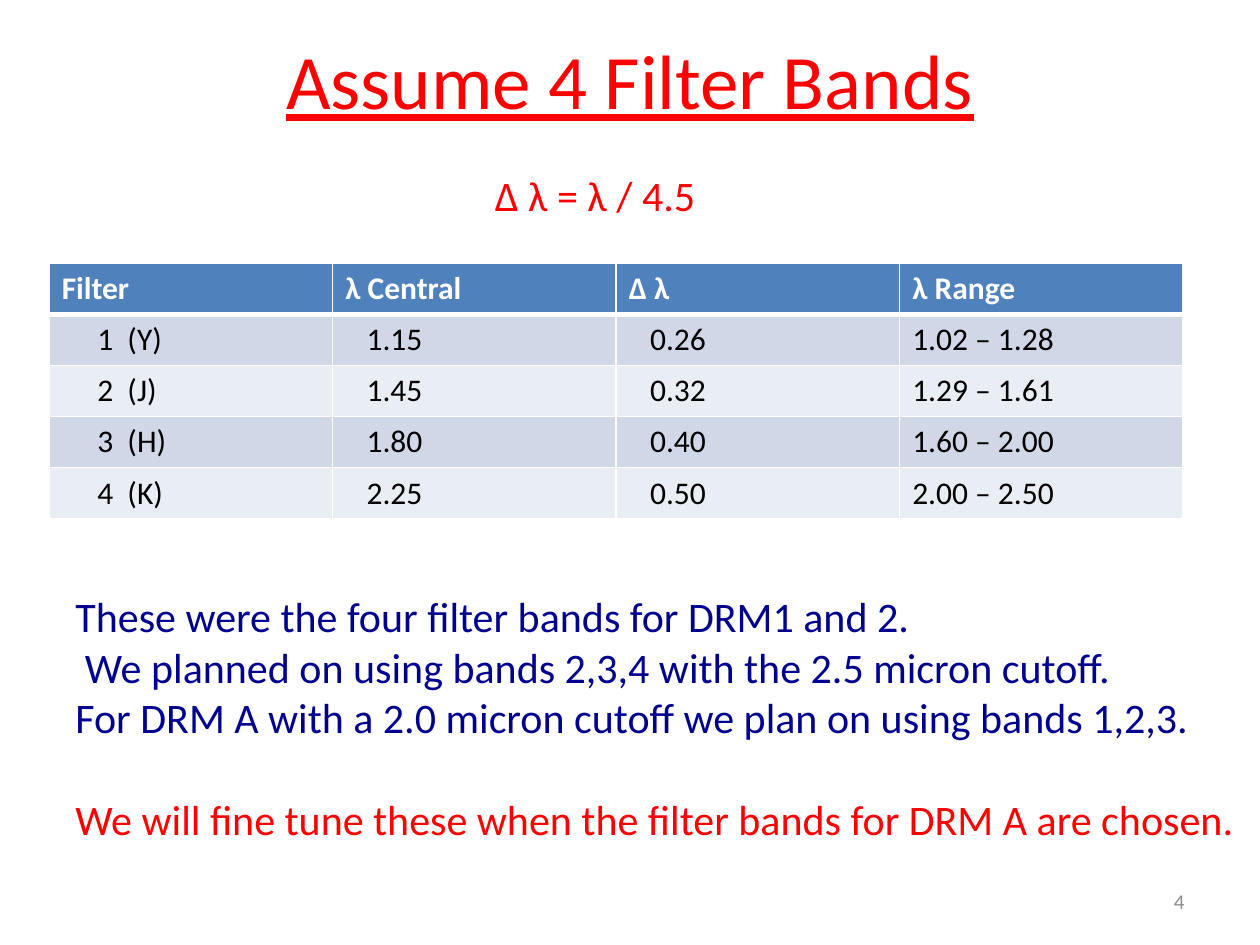
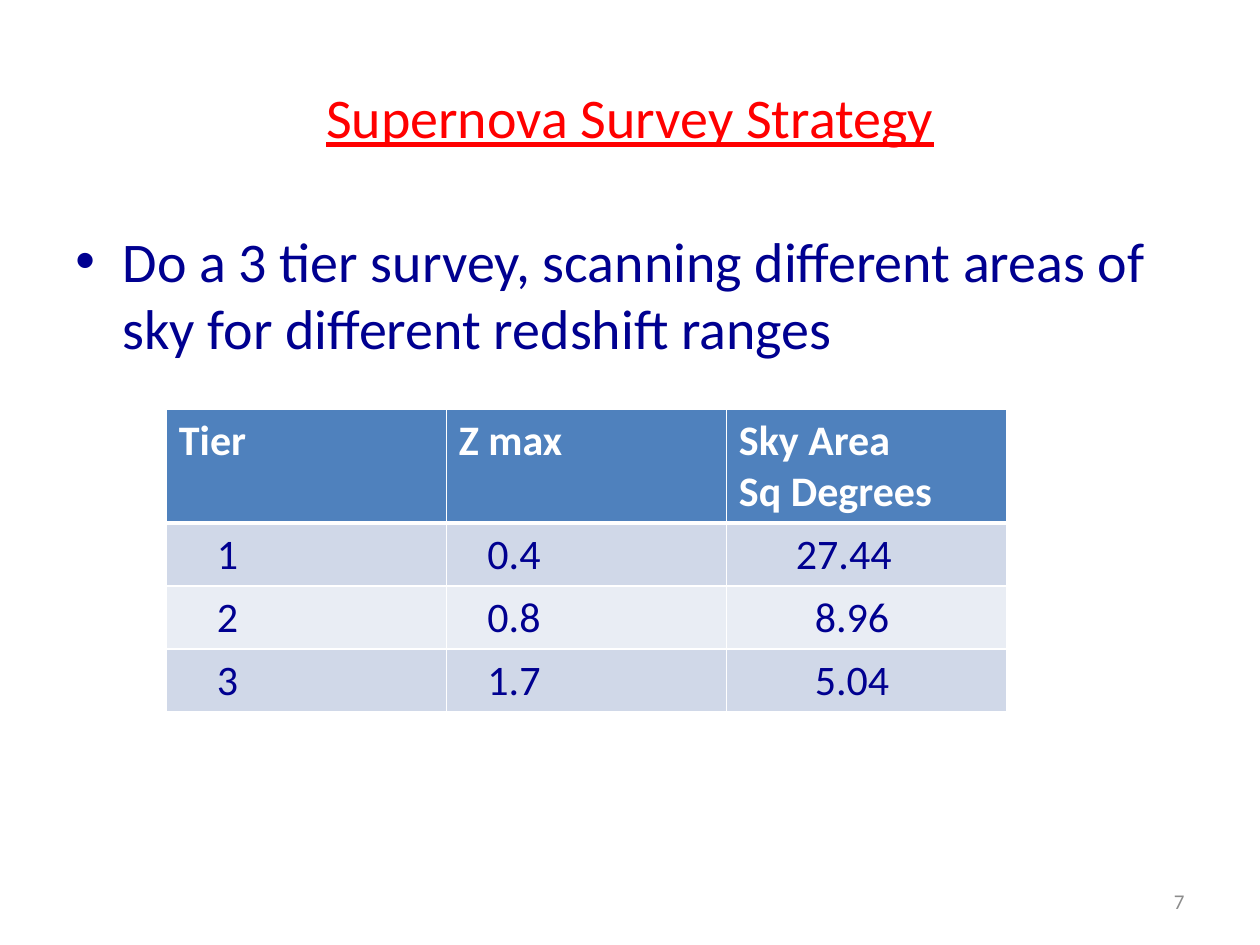
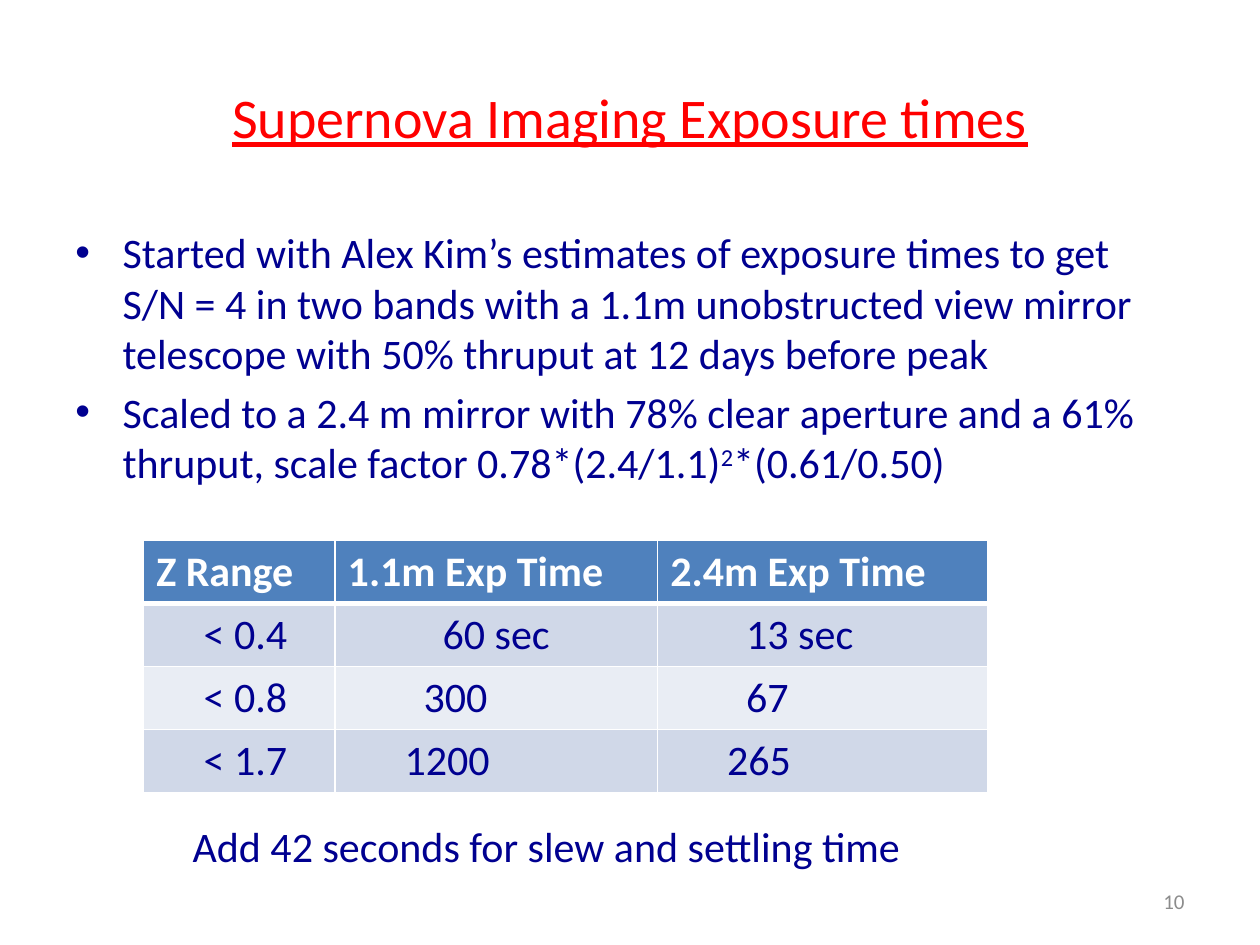
from lxml.etree import SubElement
from pptx import Presentation
from pptx.dml.color import RGBColor
from pptx.enum.text import MSO_ANCHOR as Anchor, MSO_AUTO_SIZE as AutoSize, PP_ALIGN as Align
from pptx.oxml.ns import qn
from pptx.util import Inches, Pt

COLORS = {
    "red": "FF0000", "navy": "000090", "black": "000000", "white": "FFFFFF",
    "gray": "8C8C8C", "header": "4F81BD", "odd": "D0D8E8", "even": "E9EDF4",
}
FONT = "Calibri"
SLIDE_WIDTH, SLIDE_HEIGHT = Inches(10), Inches(7.5)
GRID_COLUMNS, GRID_ROWS = 40, 30
SPACE_SHARE = 0.226
LINE_SHARE = 1.22
CELL_MARGIN = Inches(0.1)
BULLET_INDENT = Inches(0.375)

NUMBER_BOX = (28.68, 27.8, 9.32, 1.6)
BODY_BOX = (2, 7, 36, 19.8)
LOW_TITLE = (2, 1.2, 36, 5)

SLIDES = [
    {
        "number": 4,
        "title": ("Assume 4 Filter Bands", (2, 0, 36, 5), 44),
        "notes": [
            {"box": (15.32, 5.2, 7.24, 2), "lines": [("Δ λ = λ / 4.5", "red", 0)]},
            {"box": (2, 18.56, 38.04, 8.48), "lines": [
                ("These were the four filter bands for DRM1 and 2.", "navy", 0),
                (" We planned on using bands 2,3,4 with the 2.5 micron cutoff.", "navy", 0),
                ("For DRM A with a 2.0 micron cutoff we plan on using bands 1,2,3.", "navy", 0),
                ("We will fine tune these when the filter bands for DRM A are chosen.", "red", 1),
            ]},
        ],
        "table": {
            "at": (1.56, 8.36), "columns": [9] * 4, "rows": [1.62] * 5,
            "size": 18, "color": "black",
            "header": ("Filter", "λ Central", "Δ λ", "λ Range"),
            "cells": [
                ("1  (Y)", "1.15", "0.26", "1.02 – 1.28"),
                ("2  (J)", "1.45", "0.32", "1.29 – 1.61"),
                ("3  (H)", "1.80", "0.40", "1.60 – 2.00"),
                ("4  (K)", "2.25", "0.50", "2.00 – 2.50"),
            ],
            "indents": [(5, 3, 3, 0)] * 4,
        },
    },
    {
        "number": 7,
        "title": ("Supernova Survey Strategy", LOW_TITLE, 32),
        "bullets": (32, [
            [("Do a 3 tier survey, scanning different areas of sky "
              "for different redshift ranges", False)],
        ]),
        "table": {
            "at": (5.28, 13), "columns": [8.89] * 3, "rows": [3.6, 2, 2, 2],
            "size": 24, "color": "navy",
            "header": ("Tier", "Z max", "Sky Area\vSq Degrees"),
            "cells": [("1", "0.4", "27.44"), ("2", "0.8", "8.96"), ("3", "1.7", "5.04")],
            "indents": [(4, 3, 6), (4, 3, 8), (4, 3, 8)],
        },
    },
    {
        "number": 10,
        "title": ("Supernova Imaging Exposure times", LOW_TITLE, 32),
        "bullets": (24, [
            [("Started with Alex Kim’s estimates of exposure times to get\v"
              "S/N = 4 in two bands with a 1.1m unobstructed view mirror "
              "telescope with 50% thruput at 12 days before peak", False)],
            [("Scaled to a 2.4 m mirror with 78% clear aperture and a 61% thruput, "
              "scale factor 0.78*(2.4/1.1)", False), ("2", True), ("*(0.61/0.50)", False)],
        ]),
        "table": {
            "at": (4.56, 17.16), "columns": [6.08, 10.24, 10.48], "rows": [2] * 4,
            "size": 24, "color": "navy",
            "header": ("Z Range", "1.1m Exp Time", "2.4m Exp Time"),
            "cells": [("< 0.4", "60 sec", "13 sec"), ("< 0.8", "300", "67"),
                      ("< 1.7", "1200", "265")],
            "indents": [(5, 10, 8), (5, 8, 8), (5, 6, 6)],
        },
        "notes": [
            {"box": (5.72, 25.84, 23.52, 2),
             "lines": [("Add 42 seconds for slew and settling time", "navy", 0)]},
        ],
    },
]


def across(columns):
    return round(SLIDE_WIDTH * columns / GRID_COLUMNS)


def down(rows):
    return round(SLIDE_HEIGHT * rows / GRID_ROWS)


def rgb(name):
    return RGBColor.from_string(COLORS[name])


def format_runs(paragraph, size, color, bold=False, underline=None):
    for run in paragraph.runs:
        font = run.font
        font.name, font.size, font.bold, font.underline = FONT, Pt(size), bold, underline
        font.color.rgb = rgb(color)


def add_box(slide, box, anchor=Anchor.TOP, wrap=True):
    left, top, width, height = box
    shape = slide.shapes.add_textbox(across(left), down(top), across(width), down(height))
    text_frame = shape.text_frame
    text_frame.word_wrap = wrap
    text_frame.auto_size = AutoSize.NONE if wrap else AutoSize.SHAPE_TO_FIT_TEXT
    text_frame.vertical_anchor = anchor
    return text_frame


def add_paragraphs(text_frame, items):
    for index, item in enumerate(items):
        yield (text_frame.add_paragraph() if index else text_frame.paragraphs[0]), item


def add_label(slide, text, box, size, color, align, underline=None):
    text_frame = add_box(slide, box, Anchor.MIDDLE)
    text_frame.text = text
    paragraph = text_frame.paragraphs[0]
    paragraph.alignment = align
    format_runs(paragraph, size, color, underline=underline)


def add_note(slide, box, lines, size=24):
    text_frame = add_box(slide, box, wrap=False)
    for paragraph, (text, color, skipped) in add_paragraphs(text_frame, lines):
        paragraph.text = text
        paragraph.space_before = Pt(skipped * size * LINE_SHARE)
        format_runs(paragraph, size, color)


def add_bullets(slide, size, bullets):
    text_frame = add_box(slide, BODY_BOX)
    for paragraph, parts in add_paragraphs(text_frame, bullets):
        paragraph.space_before = Pt(size * 0.2)
        properties = paragraph._p.get_or_add_pPr()
        properties.set("marL", str(BULLET_INDENT))
        properties.set("indent", str(-BULLET_INDENT))
        SubElement(properties, qn("a:buFont"), typeface="Arial")
        SubElement(properties, qn("a:buChar"), char="•")
        for text, raised in parts:
            for index, line in enumerate(text.split("\v")):
                if index:
                    paragraph.add_line_break()
                run = paragraph.add_run()
                run.text = line
                if raised:
                    run.font._element.set("baseline", "30000")
        format_runs(paragraph, size, "navy")


def add_borders(cell, row):
    properties = cell._tc.get_or_add_tcPr()
    widths = {"L": 1, "R": 1, "T": 3 if row == 1 else 1, "B": 3 if row == 0 else 1}
    for side, width in widths.items():
        line = SubElement(properties, qn("a:ln" + side), w=str(Pt(width)))
        fill = SubElement(line, qn("a:solidFill"))
        SubElement(fill, qn("a:srgbClr"), val=COLORS["white"])


def add_grid(slide, at, columns, rows, size, color, header, cells, indents):
    left, top = at
    table = slide.shapes.add_table(
        len(rows), len(columns), across(left), down(top),
        across(sum(columns)), down(sum(rows))).table
    for column, width in zip(table.columns, columns):
        column.width = across(width)
    for row, height in zip(table.rows, rows):
        row.height = down(height)
    all_indents = [(0,) * len(columns)] + indents
    for row, texts in enumerate([header] + cells):
        is_header = row == 0
        fill = "header" if is_header else ("odd" if row % 2 else "even")
        for column, text in enumerate(texts):
            cell = table.cell(row, column)
            add_borders(cell, row)
            cell.fill.solid()
            cell.fill.fore_color.rgb = rgb(fill)
            cell.margin_left = CELL_MARGIN + Pt(all_indents[row][column] * size * SPACE_SHARE)
            cell.text_frame.text = text
            format_runs(cell.text_frame.paragraphs[0], size,
                        "white" if is_header else color, bold=is_header)


presentation = Presentation()
presentation.slide_width, presentation.slide_height = SLIDE_WIDTH, SLIDE_HEIGHT
for content in SLIDES:
    slide = presentation.slides.add_slide(presentation.slide_layouts[6])
    title, title_box, title_size = content["title"]
    add_label(slide, title, title_box, title_size, "red", Align.CENTER, underline=True)
    if "bullets" in content:
        add_bullets(slide, *content["bullets"])
    add_grid(slide, **content["table"])
    for note in content.get("notes", []):
        add_note(slide, **note)
    add_label(slide, str(content["number"]), NUMBER_BOX, 12, "gray", Align.RIGHT)
presentation.save("out.pptx")
